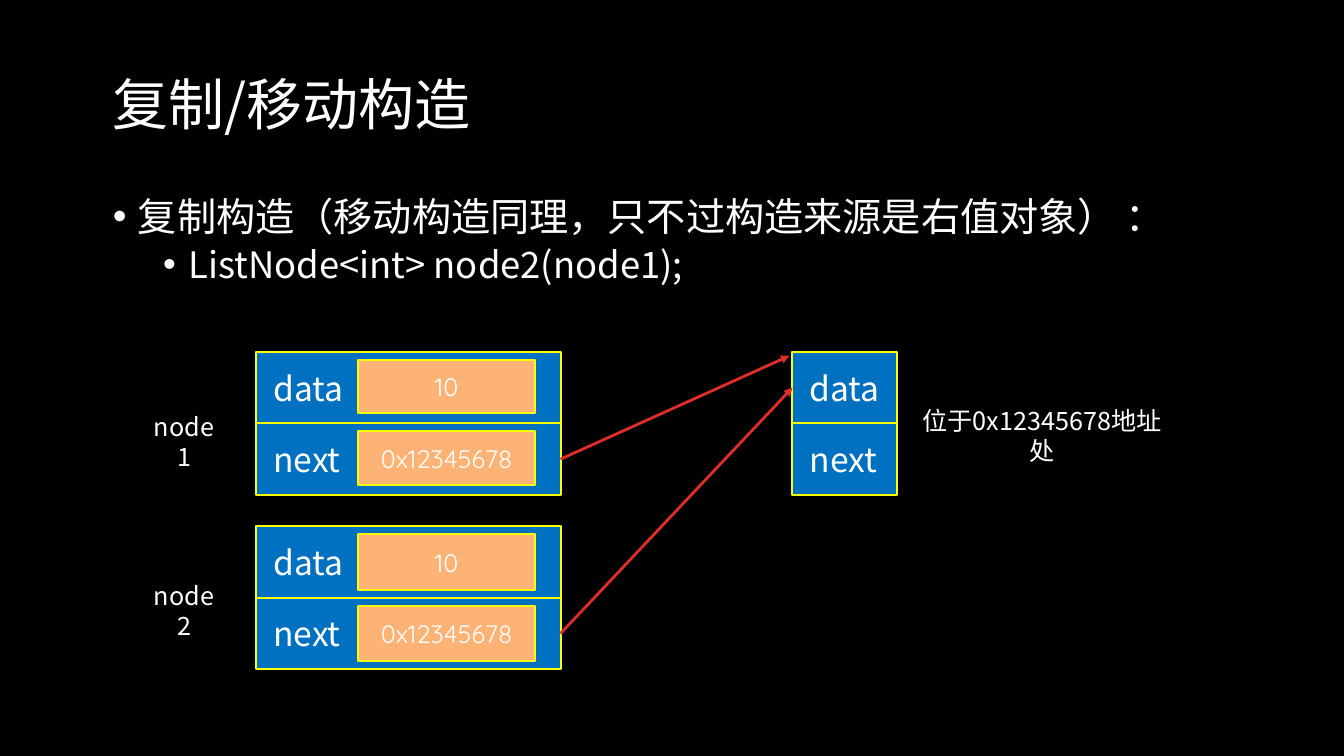
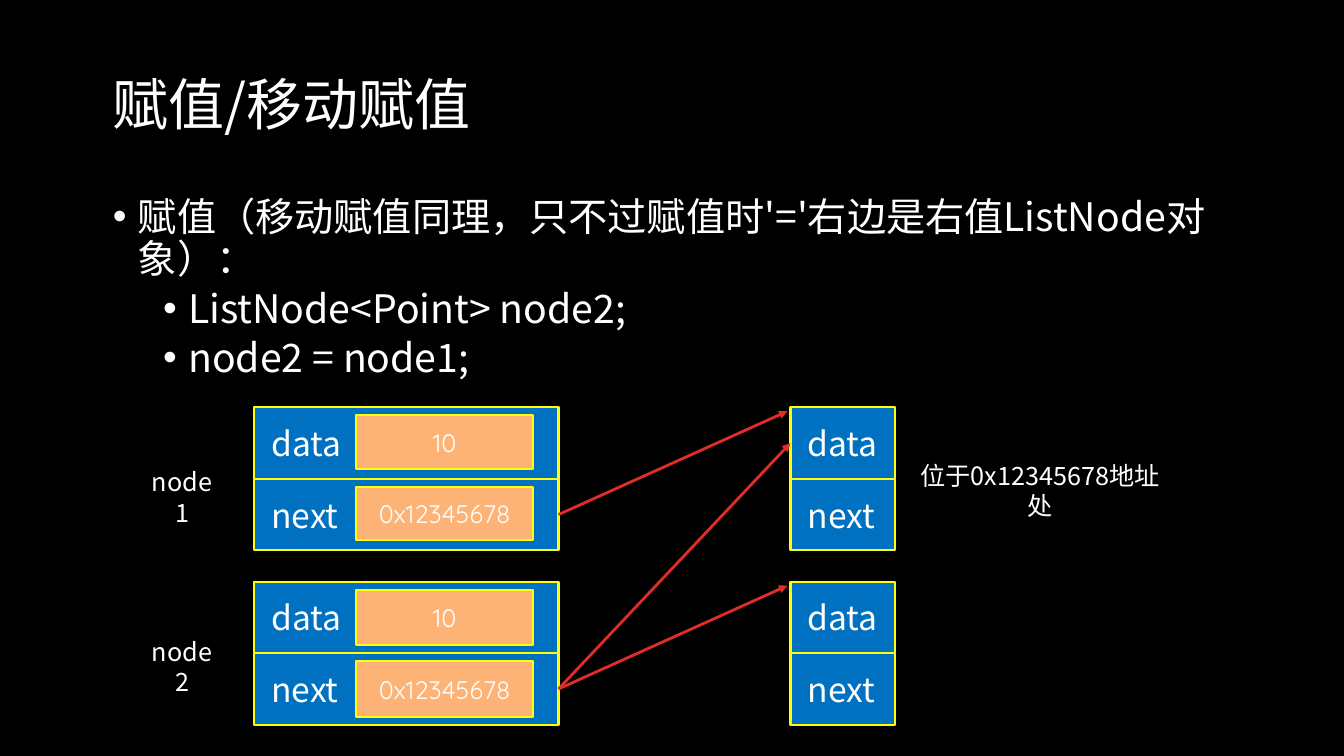
from dataclasses import dataclass

from lxml import etree
from pptx import Presentation
from pptx import util as u
from pptx.dml.color import RGBColor
from pptx.enum import shapes, text
from pptx.oxml.ns import qn


@dataclass(frozen=True)
class Theme:
    back: str = "000000"
    ink: str = "FFFFFF"
    cell: str = "0070C0"
    value: str = "FEB376"
    edge: str = "FFFF00"
    arrow: str = "DF2E28"
    sans: str = "Noto Sans CJK SC"
    round: str = "Quicksand"
    title_pt: int = 40
    body_pt: int = 28
    cell_pt: int = 24
    small_pt: int = 18


T = Theme()
LEFT, CENTER = text.PP_ALIGN.LEFT, text.PP_ALIGN.CENTER

# Diagram grid in inches, measured from the top left corner of node1
ROW = 0.71            # height of one field
PITCH = 1.73          # from one node to the next
NODE_W, TARGET_W = 3.02, 1.04
LABEL_X, VALUE_X, TARGET_X, NOTE_X = -1.16, 1.01, 5.32, 6.41
VALUE_W, VALUE_INSET = 1.76, 0.08
FIELDS = ["data", "next"]
VALUES = ["10", "0x12345678"]
NODES = [("node1", 0.54, 0.53), ("node2", 0.49, 0.55)]  # name, label drop, value height

# Arrows: (from node, to target, joined to the target's side)
SLIDES = [
    {
        "title": "复制/移动构造",
        "body": [("复制构造（移动构造同理，只不过构造来源是右值对象） ：", 0, T.body_pt),
                 ("ListNode<int> node2(node1);", 1, 26)],
        "origin": (2.54, 3.49),
        "targets": 1,
        "arrows": [(0, 0, False), (1, 0, True)],
    },
    {
        "title": "赋值/移动赋值",
        "body": [("赋值（移动赋值时同理，只不过赋值时'='右边是右值ListNode对象）：".replace("赋值时同理", "赋值同理"), 0, T.body_pt),
                 ("ListNode<Point> node2;", 1, T.body_pt),
                 ("node2 = node1;", 1, T.body_pt)],
        "origin": (2.52, 4.04),
        "targets": 2,
        "arrows": [(0, 0, False), (1, 1, False), (1, 0, True)],
    },
]
SLIDES[1]["body"][0] = ("赋值（移动赋值同理，只不过赋值时'='右边是右值ListNode对象）：", 0, T.body_pt)


def style(p, size, font=T.sans, align=LEFT):
    """Format a paragraph and its runs, East Asian font included."""
    p.alignment = align
    for r in p.runs:
        r.font.size = u.Pt(size)
        r.font.name = font
        r.font.color.rgb = RGBColor.from_string(T.ink)
        etree.SubElement(r._r.get_or_add_rPr(), qn("a:ea"), typeface=font)


def add_box(s, label, at, fill, **look):
    sp = s.shapes.add_shape(shapes.MSO_SHAPE.RECTANGLE, *map(u.Inches, at))
    sp.shadow.inherit = False
    sp.fill.solid()
    sp.fill.fore_color.rgb = RGBColor.from_string(fill)
    sp.line.color.rgb = RGBColor.from_string(T.edge)
    sp.line.width = u.Pt(1.5)
    tf = sp.text_frame
    tf.text = label
    tf.vertical_anchor = text.MSO_ANCHOR.MIDDLE
    style(tf.paragraphs[0], **look)
    return sp


prs = Presentation()
prs.slide_width, prs.slide_height = u.Inches(13.33), u.Inches(7.5)
back = prs.slide_master.background.fill
back.solid()
back.fore_color.rgb = RGBColor.from_string(T.back)

for spec_ in SLIDES:
    s = prs.slides.add_slide(prs.slide_layouts[5])
    x0, y0 = spec_["origin"]

    title = s.shapes.title
    title.left, title.top, title.width, title.height = map(u.Inches, (1.02, 0.36, 11.29, 1.41))
    tf = title.text_frame
    tf.text = spec_["title"]
    tf.auto_size = text.MSO_AUTO_SIZE.NONE
    tf.vertical_anchor = text.MSO_ANCHOR.MIDDLE
    tf.paragraphs[0].line_spacing = 0.9
    style(tf.paragraphs[0], T.title_pt)

    tf = s.shapes.add_textbox(*map(u.Inches, (1.02, 1.91, 11.29, 5.22))).text_frame
    tf.word_wrap = True
    for i, (line, level, size) in enumerate(spec_["body"]):
        p = tf.add_paragraph() if i else tf.paragraphs[0]
        p.text = line
        p.level = level
        p.line_spacing = 0.9
        p.space_before = u.Pt(5 if level else 10)
        style(p, size)
        pPr = p._p.get_or_add_pPr()
        pPr.set("marL", str(u.Inches(0.25 + 0.5 * level)))
        pPr.set("indent", str(u.Inches(-0.25)))
        etree.SubElement(pPr, qn("a:buFont"), typeface="Arial")
        etree.SubElement(pPr, qn("a:buChar"), char="•")

    # Field boxes of the nodes and of the nodes they point to
    cells = {}
    columns = [("node", 0, NODE_W, len(NODES)), ("target", TARGET_X, TARGET_W, spec_["targets"])]
    for kind, dx, width, count in columns:
        for n in range(count):
            for row, field in enumerate(FIELDS):
                at = (x0 + dx, y0 + n * PITCH + row * ROW, width, ROW)
                sp = add_box(s, field, at, T.cell, size=T.cell_pt)
                sp.text_frame.margin_left = u.Inches(0.17)
                cells[kind, n, field] = sp

    labels = [("位于0x12345678地址处", NOTE_X, 0.48, 2.77)]
    for n, (name, drop, height) in enumerate(NODES):
        labels.append((name, LABEL_X, n * PITCH + drop, 0.89))
        for row, value in enumerate(VALUES):
            at = (x0 + VALUE_X, y0 + n * PITCH + row * ROW + VALUE_INSET, VALUE_W, height)
            add_box(s, value, at, T.value, size=T.small_pt, font=T.round, align=CENTER)

    for label, dx, dy, width in labels:
        tf = s.shapes.add_textbox(*map(u.Inches, (x0 + dx, y0 + dy, width, 0.4))).text_frame
        tf.word_wrap = True
        tf.text = label
        style(tf.paragraphs[0], T.small_pt, align=CENTER)

    for n, target, joined in spec_["arrows"]:
        end = cells["target", target, "data"]
        cn = s.shapes.add_connector(shapes.MSO_CONNECTOR.STRAIGHT, 0, 0,
                                    end.left - u.Inches(0.03), end.top + u.Inches(0.04))
        cn.begin_connect(cells["node", n, "next"], 3)
        if joined:
            cn.end_connect(end, 1)
        cn.line.color.rgb = RGBColor.from_string(T.arrow)
        cn.line.width = u.Pt(2)
        etree.SubElement(cn.line._get_or_add_ln(), qn("a:tailEnd"), type="triangle")
        etree.SubElement(cn._element.spPr, qn("a:effectLst"))

prs.save("out.pptx")
